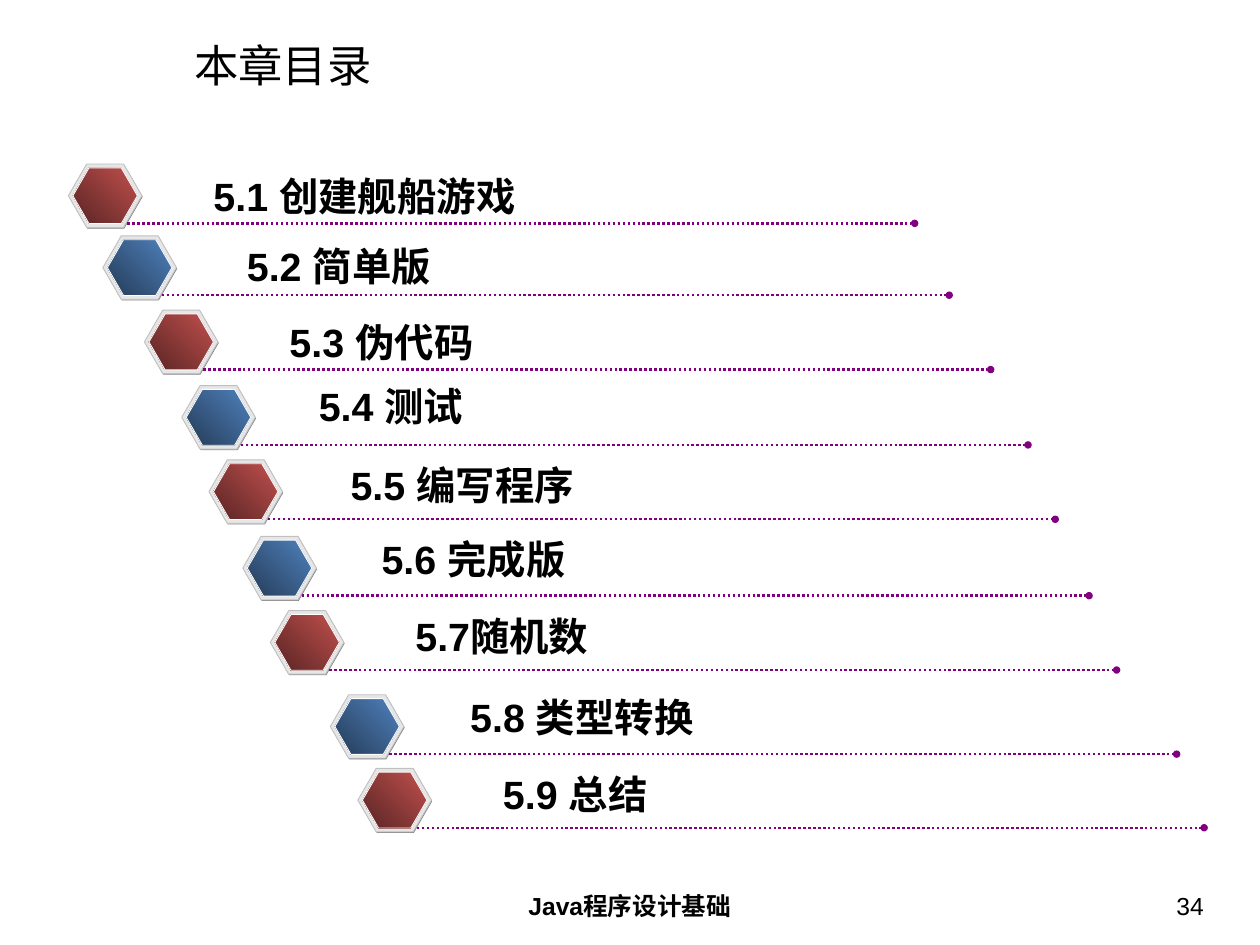
from lxml.etree import SubElement
from pptx import Presentation
from pptx.dml.color import RGBColor
from pptx.enum.dml import MSO_LINE
from pptx.enum.shapes import MSO_CONNECTOR, MSO_SHAPE
from pptx.enum.text import MSO_ANCHOR, MSO_AUTO_SIZE, PP_ALIGN
from pptx.oxml.ns import qn
from pptx.util import Cm, Pt

COLORS = {
    "text": "000000",
    "shadow": "808080",
    "rim": "E6E6E6",
    "rim_line": "C0C0C0",
    "face_line": "FFFFFF",
    "rule": "800080",
    "red": "C0504D",
    "dark_red": "592524",
    "blue": "4F81BD",
    "dark_blue": "253C57",
}
FACES = [("red", "dark_red"), ("blue", "dark_blue")]
SECTIONS = [
    ("5.1 创建舰船游戏", 1.96, 4.7, 5.87, 4.8),
    ("5.2 简单版", 2.95, 6.76, 6.83, 6.81),
    ("5.3 伪代码", 4.14, 8.89, 8.05, 8.99),
    ("5.4 测试", 5.21, 11.05, 8.89, 10.82),
    ("5.5 编写程序", 5.99, 13.18, 9.8, 13.08),
    ("5.6 完成版", 6.96, 15.37, 10.69, 15.21),
    ("5.7随机数", 7.75, 17.5, 11.66, 17.42),
    ("5.8 类型转换", 9.47, 19.91, 13.23, 19.74),
    ("5.9 总结", 10.26, 22.02, 14.17, 21.95),
]


def color(name):
    return RGBColor.from_string(COLORS[name])


def write_text(shape, text, size, bold=False, align=PP_ALIGN.LEFT, inset=0.36):
    frame = shape.text_frame
    frame.margin_left = frame.margin_right = Cm(inset)
    frame.margin_top = frame.margin_bottom = Cm(inset / 2)
    frame.word_wrap = True
    frame.text = text
    paragraph = frame.paragraphs[0]
    paragraph.alignment = align
    paragraph.font.name = "Arial"
    paragraph.font.size = Pt(size)
    paragraph.font.bold = bold
    paragraph.font.color.rgb = color("text")
    return frame


def add_title(slide, text):
    title = slide.shapes.title
    title.left, title.top, title.width, title.height = Cm(5.21), Cm(1.14), Cm(30.05), Cm(1.45)
    frame = write_text(title, text, 36)
    frame.vertical_anchor = MSO_ANCHOR.MIDDLE
    frame.auto_size = MSO_AUTO_SIZE.NONE


def add_footer(slide, text, left, width, bold, align):
    box = slide.shapes.add_textbox(Cm(left), Cm(25.35), Cm(width), Cm(1.4))
    write_text(box, text, 20, bold, align)


def add_hexagon(shapes, left, top, width, height, line_name=None):
    hexagon = shapes.add_shape(MSO_SHAPE.HEXAGON, Cm(left), Cm(top), Cm(width), Cm(height))
    hexagon.adjustments[0] = 0.289
    hexagon.shadow.inherit = False
    if line_name:
        hexagon.line.color.rgb = color(line_name)
        hexagon.line.width = Pt(0.75)
    else:
        hexagon.line.fill.background()
    return hexagon


def add_badge(shapes, left, top, face_colors):
    shadow = add_hexagon(shapes, left + 0.02, top + 0.03, 2.11, 1.82)
    shadow.fill.solid()
    shadow.fill.fore_color.rgb = color("shadow")
    rim = add_hexagon(shapes, left, top, 2.11, 1.82, "rim_line")
    rim.fill.solid()
    rim.fill.fore_color.rgb = color("rim")
    face = add_hexagon(shapes, left + 0.13, top + 0.11, 1.85, 1.6, "face_line")
    face.fill.gradient()
    face.fill.gradient_angle = 225
    for stop, name in zip(face.fill.gradient_stops, face_colors):
        stop.color.rgb = color(name)


def add_rule(shapes, left, top):
    rule = shapes.add_connector(
        MSO_CONNECTOR.STRAIGHT, Cm(left), Cm(top), Cm(left + 22.57), Cm(top)
    )
    rule.line.color.rgb = color("rule")
    rule.line.width = Pt(2)
    rule.line.dash_style = MSO_LINE.ROUND_DOT
    SubElement(rule.line._get_or_add_ln(), qn("a:tailEnd"), type="oval")
    SubElement(rule._element.spPr, qn("a:effectLst"))


def add_heading(shapes, text, left, top):
    spaces = text.count(" ")
    width = 2.36 + 0.31 * spaces + 1.13 * (len(text) - 3 - spaces)
    box = shapes.add_textbox(Cm(left), Cm(top), Cm(width), Cm(1.63))
    frame = write_text(box, text, 32, bold=True, inset=0.25)
    frame.word_wrap = False
    frame.auto_size = MSO_AUTO_SIZE.SHAPE_TO_FIT_TEXT


def add_section(slide, section, face_colors):
    text, left, top, text_left, text_top = section
    shapes = slide.shapes.add_group_shape().shapes
    add_badge(shapes, left, top, face_colors)
    add_rule(shapes, left + 1.69, top + 1.7)
    add_heading(shapes, text, text_left, text_top)


def main():
    presentation = Presentation()
    presentation.slide_width = Cm(36.12)
    presentation.slide_height = Cm(27.08)
    slide = presentation.slides.add_slide(presentation.slide_layouts[5])
    add_title(slide, "本章目录")
    add_footer(slide, "Java程序设计基础", 12.34, 11.43, True, PP_ALIGN.CENTER)
    add_footer(slide, "34", 26.44, 8.43, False, PP_ALIGN.RIGHT)
    for index, section in enumerate(SECTIONS):
        add_section(slide, section, FACES[index % 2])
    presentation.save("out.pptx")


if __name__ == "__main__":
    main()
